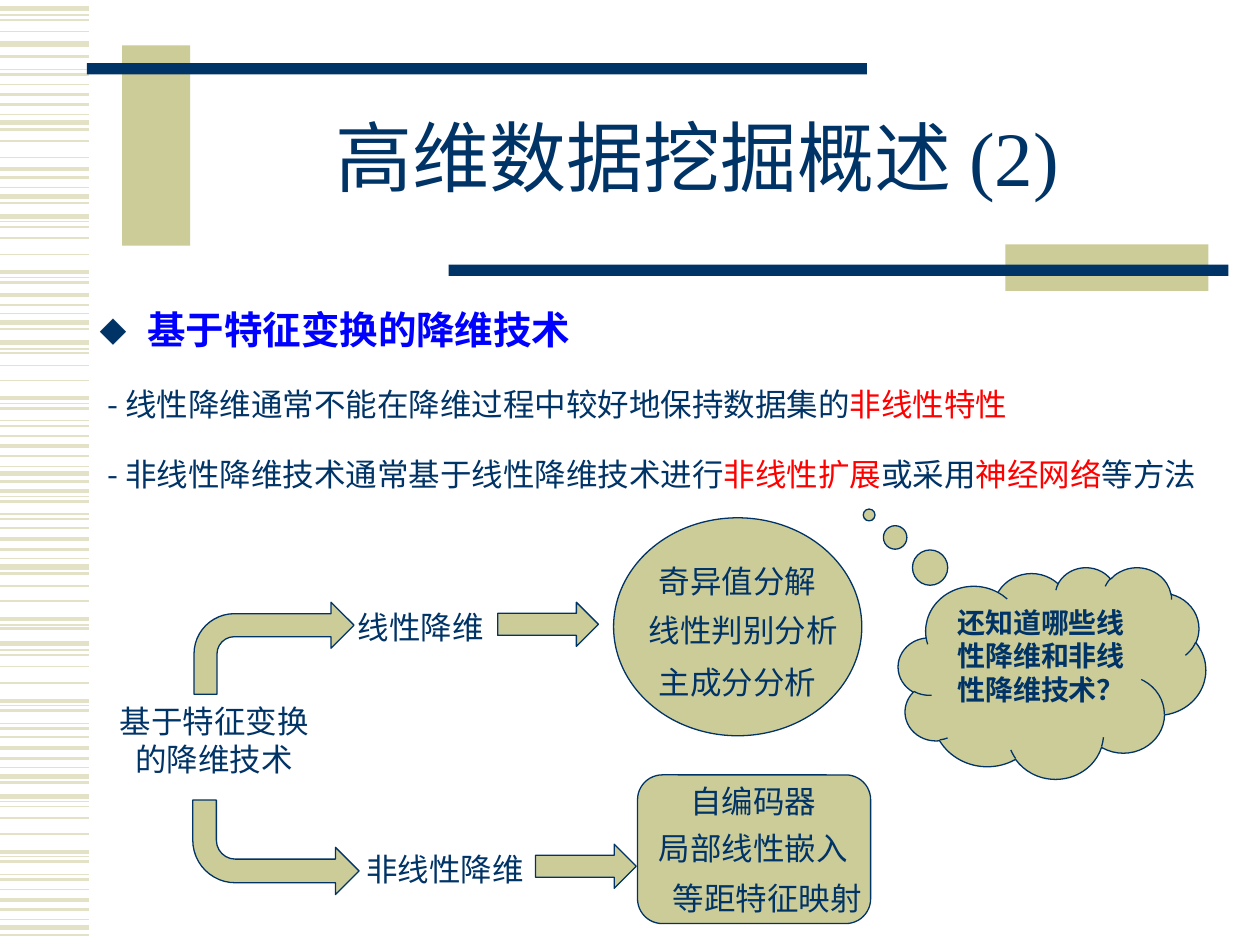
from lxml.etree import SubElement
from pptx import Presentation
from pptx.dml.color import RGBColor
from pptx.enum.shapes import MSO_CONNECTOR, MSO_SHAPE
from pptx.enum.text import MSO_ANCHOR, MSO_AUTO_SIZE, PP_ALIGN
from pptx.oxml.ns import qn
from pptx.util import Inches, Pt

NAVY = RGBColor(0x00, 0x33, 0x66)
KHAKI = RGBColor(0xCC, 0xCC, 0x99)
PALE = RGBColor(0xE3, 0xE2, 0xC7)
BLUE = RGBColor(0x00, 0x00, 0xFF)
RED = RGBColor(0xFF, 0x00, 0x00)
SERIF, SANS = "Times New Roman", "Noto Sans CJK SC"
EDGE = 0.71  # right end of the side stripes

# Content
TITLE = "高维数据挖掘概述 (2)"
HEAD = "基于特征变换的降维技术"
POINTS = [
    [("- 线性降维通常不能在降维过程中较好地保持数据集的", NAVY), ("非线性特性", RED)],
    [("- 非线性降维技术通常基于线性降维技术进行", NAVY), ("非线性扩展", RED),
     ("或采用", NAVY), ("神经网络", RED), ("等方法", NAVY)],
]
THOUGHT = "还知道哪些线性降维和非线性降维技术？"
LABELS = [  # text, left, top, width
    ("线性降维", 2.74, 4.78, 1.21), ("非线性降维", 2.81, 6.7, 1.46),
    ("奇异值分解", 5.13, 4.41, 1.46), ("线性判别分析", 5.05, 4.8, 1.78),
    ("主成分分析", 5.13, 5.21, 1.46), ("自编码器", 5.38, 6.16, 1.21),
    ("局部线性嵌入", 5.13, 6.53, 1.72), ("等距特征映射", 5.24, 6.93, 1.72),
]
STRIPES = {  # line weight: heights on the slide
    0.75: [0.12, 0.55, 0.91, 1.49, 1.76, 2.2, 2.49, 2.77, 3.2, 3.34, 3.7, 3.94, 4.08,
           4.43, 4.96, 5.16, 5.6, 5.74, 6.09, 6.36, 6.8, 6.94, 7.3],
    1: [0.16, 0.25, 0.67, 1.12, 1.25, 1.8, 1.89, 2.02, 2.8, 2.9, 3.02, 3.46, 4.19,
        4.65, 4.77, 5.2, 5.29, 5.42, 5.85, 6.4, 6.49, 6.62, 7.06],
    1.5: [0.45, 0.59, 0.83, 1.03, 1.41, 1.61, 2.24, 2.42, 2.61, 3.24, 3.38, 3.62, 3.82,
          3.98, 4.12, 4.36, 4.55, 4.99, 5.64, 5.78, 6.02, 6.21, 6.84, 6.98, 7.22, 7.42],
    2.25: [0.75, 1.34, 2.16, 2.34, 3.16, 3.54, 3.9, 4.28, 4.91, 5.56, 5.94, 6.76, 7.14],
    3: [0.07, 0.35, 0.97, 1.56, 1.72, 2.56, 2.72, 3.76, 4.5, 5.11, 6.16, 6.32, 7.36],
}
BARS = [
    (KHAKI, (0.97, 0.36, 0.54, 1.59)), (NAVY, (0.69, 0.5, 6.19, 0.09)),
    (KHAKI, (7.98, 1.94, 1.61, 0.37)), (NAVY, (3.56, 2.1, 6.19, 0.09)),
]


def place(box):
    return [Inches(v) for v in box]


def style(run, size, color=NAVY, face=SANS, bold=False):
    font = run.font
    font.size, font.bold, font.name = Pt(size), bold, face
    font.color.rgb = color
    SubElement(run._r.get_or_add_rPr(), qn("a:ea")).set("typeface", SANS)


def draw(kind, box, fill=KHAKI, line=NAVY, adjust=()):
    shape = slide.shapes.add_shape(kind, *place(box))
    shape.shadow.inherit = False
    shape.fill.solid()
    shape.fill.fore_color.rgb = fill
    if line is None:
        shape.line.fill.background()
    else:
        shape.line.color.rgb = line
        shape.line.width = Pt(0.75)
    for i, value in enumerate(adjust):
        shape.adjustments[i] = value
    return shape


def label(text, box, wrap=False):
    frame = slide.shapes.add_textbox(*place(box)).text_frame
    frame.word_wrap = wrap
    frame.auto_size = MSO_AUTO_SIZE.SHAPE_TO_FIT_TEXT
    frame.text = text
    style(frame.paragraphs[0].runs[0], 18)
    return frame.paragraphs[0]


def indent(para, left, first, bullet=None):
    props = para._p.get_or_add_pPr()
    props.set("marL", str(Inches(left)))
    props.set("indent", str(Inches(first)))
    if bullet:
        tint = SubElement(SubElement(props, qn("a:buClr")), qn("a:srgbClr"))
        tint.set("val", str(NAVY))
        SubElement(props, qn("a:buChar")).set("char", bullet)
    else:
        SubElement(props, qn("a:buNone"))


deck = Presentation()
deck.slide_width, deck.slide_height = Inches(10), Inches(7.5)
slide = deck.slides.add_slide(deck.slide_layouts[1])
title, body = slide.placeholders[0], slide.placeholders[1]

# Side stripes
group = slide.shapes.add_group_shape()
for weight, tops in STRIPES.items():
    for top in tops:
        stripe = group.shapes.add_connector(
            MSO_CONNECTOR.STRAIGHT, *place((0, top, EDGE, top)))
        stripe.line.color.rgb = PALE
        stripe.line.width = Pt(weight)
        SubElement(stripe._element.spPr, qn("a:effectLst"))

# Title bars
for color, box in BARS:
    draw(MSO_SHAPE.RECTANGLE, box, color, None)

# Title
title.left, title.top, title.width, title.height = place((1.5, 0.67, 8.07, 1.25))
frame = title.text_frame
frame.text = TITLE
frame.auto_size = MSO_AUTO_SIZE.NONE
frame.vertical_anchor = MSO_ANCHOR.MIDDLE
para = frame.paragraphs[0]
para.alignment = PP_ALIGN.CENTER
para.line_spacing = 0.85
style(para.runs[0], 44, face=SERIF)

# Heading and points
body.left, body.top, body.width, body.height = place((0.79, 2.36, 9.21, 1.84))
frame = body.text_frame
frame.auto_size = MSO_AUTO_SIZE.NONE
frame.margin_left = frame.margin_right = 0
frame.text = HEAD
para = frame.paragraphs[0]
indent(para, 0.38, -0.38, "⬥")
style(para.runs[0], 22, BLUE, SERIF, True)
for point in POINTS:
    para = frame.add_paragraph()
    indent(para, 0.06, 0)
    for text, color in point:
        run = para.add_run()
        run.text = text
        style(run, 18, color)
for i, para in enumerate(frame.paragraphs):
    para.line_spacing = Pt(28)
    para.space_before = Pt(6 if i else 0)
    para.space_after = Pt(6)

# Method panels and labels
draw(MSO_SHAPE.ROUNDED_RECTANGLE, (5.06, 6.15, 1.85, 1.18))
draw(MSO_SHAPE.OVAL, (4.87, 4.11, 1.97, 1.73))
label(HEAD, (0.84, 5.52, 1.72, 0.71), True).alignment = PP_ALIGN.CENTER
for text, left, top, width in LABELS:
    label(text, (left, top, width, 0.4))

# Thought cloud
cloud = draw(MSO_SHAPE.CLOUD_CALLOUT, (7.13, 4.5, 2.44, 1.68), adjust=(-0.595, -0.746))
frame = cloud.text_frame
frame.word_wrap = True
frame.vertical_anchor = MSO_ANCHOR.TOP
frame.text = THOUGHT
frame.paragraphs[0].alignment = PP_ALIGN.CENTER
style(frame.paragraphs[0].runs[0], 16, face=SERIF, bold=True)

# Arrows
draw(MSO_SHAPE.BENT_ARROW, (1.54, 4.78, 1.27, 0.73))
lower = draw(MSO_SHAPE.BENT_ARROW, (1.53, 6.35, 1.32, 0.75), adjust=(0.25, 0.25, 0.25, 0.45))
lower._element.spPr.find(qn("a:xfrm")).set("flipV", "1")
for left, top in [(3.95, 4.78), (4.25, 6.7)]:
    draw(MSO_SHAPE.RIGHT_ARROW, (left, top, 0.8, 0.35))

deck.save("out.pptx")
